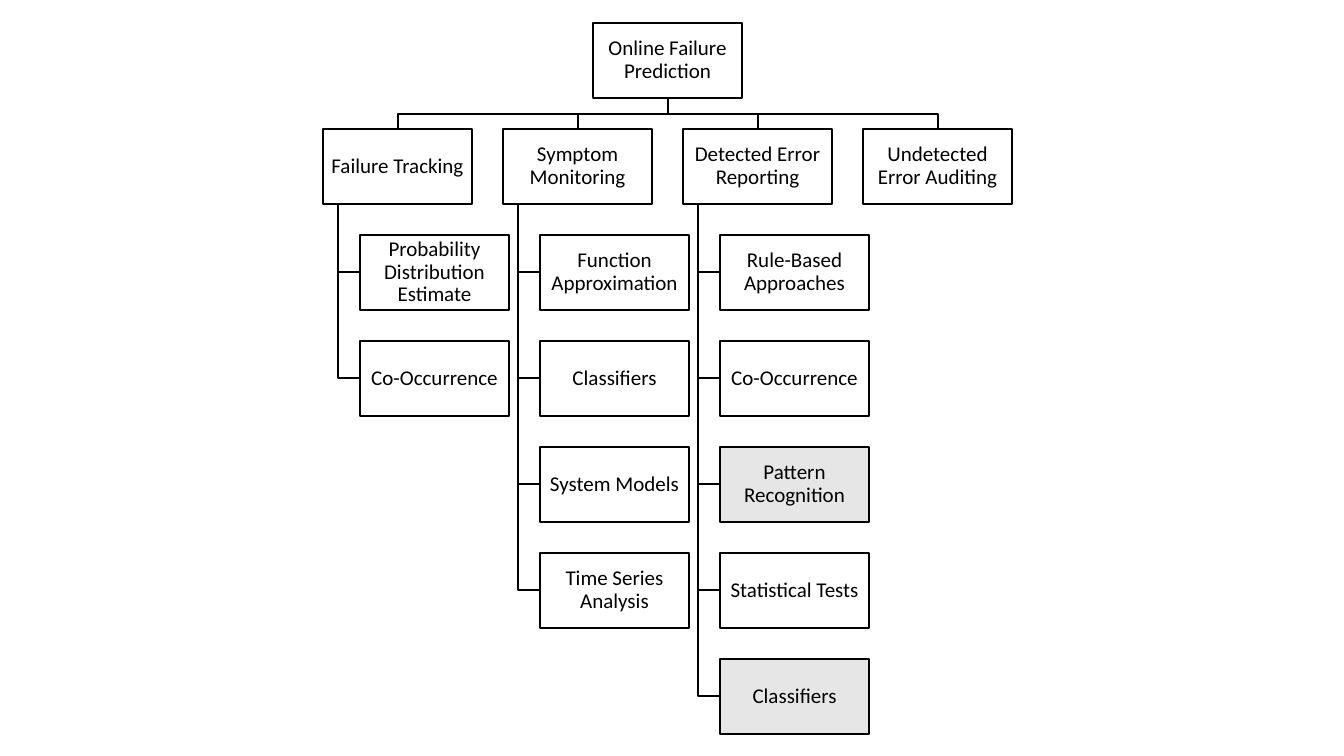
"""Build a slide with a taxonomy tree of online failure prediction methods."""
from pptx import Presentation
from pptx.dml.color import RGBColor
from pptx.enum.shapes import MSO_SHAPE
from pptx.enum.text import MSO_ANCHOR, PP_ALIGN
from pptx.util import Inches, Pt

ROOT = "Online Failure Prediction"
BRANCHES = [
    ("Failure Tracking", ["Probability Distribution Estimate", "Co-Occurrence"]),
    ("Symptom Monitoring", ["Function Approximation", "Classifiers",
                            "System Models", "Time Series Analysis"]),
    ("Detected Error Reporting", ["Rule-Based Approaches", "Co-Occurrence",
                                  "Pattern Recognition", "Statistical Tests",
                                  "Classifiers"]),
    ("Undetected Error Auditing", []),
]
HIGHLIGHTED = {("Detected Error Reporting", "Pattern Recognition"),
               ("Detected Error Reporting", "Classifiers")}
COLORS = {"ink": "000000", "plain": "FFFFFF", "highlight": "E7E6E6"}
FONT, FONT_SIZE = "Calibri", Pt(15)

SCALE = Inches(1) / 100.8
SLIDE_WIDTH, SLIDE_HEIGHT = 1344, 756
BOX_WIDTH, BOX_HEIGHT = 149, 75
LEFT, TOP = 323, 23
COLUMN_STEP, ROW_STEP = 180, 106
LEAF_INDENT, TRUNK_INDENT = 37, 15
TEXT_INSET = 1


def px(length):
    return round(length * SCALE)


def color(name):
    return RGBColor.from_string(COLORS[name])


def row_top(row):
    return TOP + row * ROW_STEP


def draw_outline(shape):
    shape.shadow.inherit = False
    shape.line.color.rgb = color("ink")
    shape.line.width = Pt(1)


def add_link(slide, points):
    builder = slide.shapes.build_freeform(*points[0], scale=SCALE)
    builder.add_line_segments(points[1:], close=False)
    shape = builder.convert_to_shape()
    shape.fill.background()
    draw_outline(shape)


def add_box(slide, label, left, top, fill="plain"):
    shape = slide.shapes.add_shape(
        MSO_SHAPE.RECTANGLE, px(left), px(top), px(BOX_WIDTH), px(BOX_HEIGHT))
    shape.fill.solid()
    shape.fill.fore_color.rgb = color(fill)
    draw_outline(shape)
    frame = shape.text_frame
    frame.word_wrap = True
    frame.vertical_anchor = MSO_ANCHOR.MIDDLE
    frame.margin_left = frame.margin_right = px(TEXT_INSET)
    frame.margin_top = frame.margin_bottom = px(TEXT_INSET)
    paragraph = frame.paragraphs[0]
    paragraph.text = label
    paragraph.alignment = PP_ALIGN.CENTER
    paragraph.line_spacing = 0.9
    paragraph.font.name = FONT
    paragraph.font.size = FONT_SIZE
    paragraph.font.color.rgb = color("ink")


def add_branch(slide, column, label, leaves, root_center):
    left, top = LEFT + column * COLUMN_STEP, row_top(1)
    center = left + BOX_WIDTH / 2
    root_bottom = row_top(0) + BOX_HEIGHT
    middle = (root_bottom + top) / 2
    add_link(slide, [(root_center, root_bottom), (root_center, middle),
                     (center, middle), (center, top)])
    add_box(slide, label, left, top)

    trunk, leaf_left = left + TRUNK_INDENT, left + LEAF_INDENT
    for row, leaf in enumerate(leaves, start=2):
        leaf_middle = row_top(row) + BOX_HEIGHT / 2
        add_link(slide, [(trunk, top + BOX_HEIGHT), (trunk, leaf_middle),
                         (leaf_left, leaf_middle)])
        fill = "highlight" if (label, leaf) in HIGHLIGHTED else "plain"
        add_box(slide, leaf, leaf_left, row_top(row), fill)


def main():
    presentation = Presentation()
    presentation.slide_width = px(SLIDE_WIDTH)
    presentation.slide_height = px(SLIDE_HEIGHT)
    slide = presentation.slides.add_slide(presentation.slide_layouts[6])
    root_left = LEFT + (len(BRANCHES) - 1) * COLUMN_STEP / 2
    add_box(slide, ROOT, root_left, row_top(0))
    for column, (label, leaves) in enumerate(BRANCHES):
        add_branch(slide, column, label, leaves, root_left + BOX_WIDTH / 2)
    presentation.save("out.pptx")


if __name__ == "__main__":
    main()
